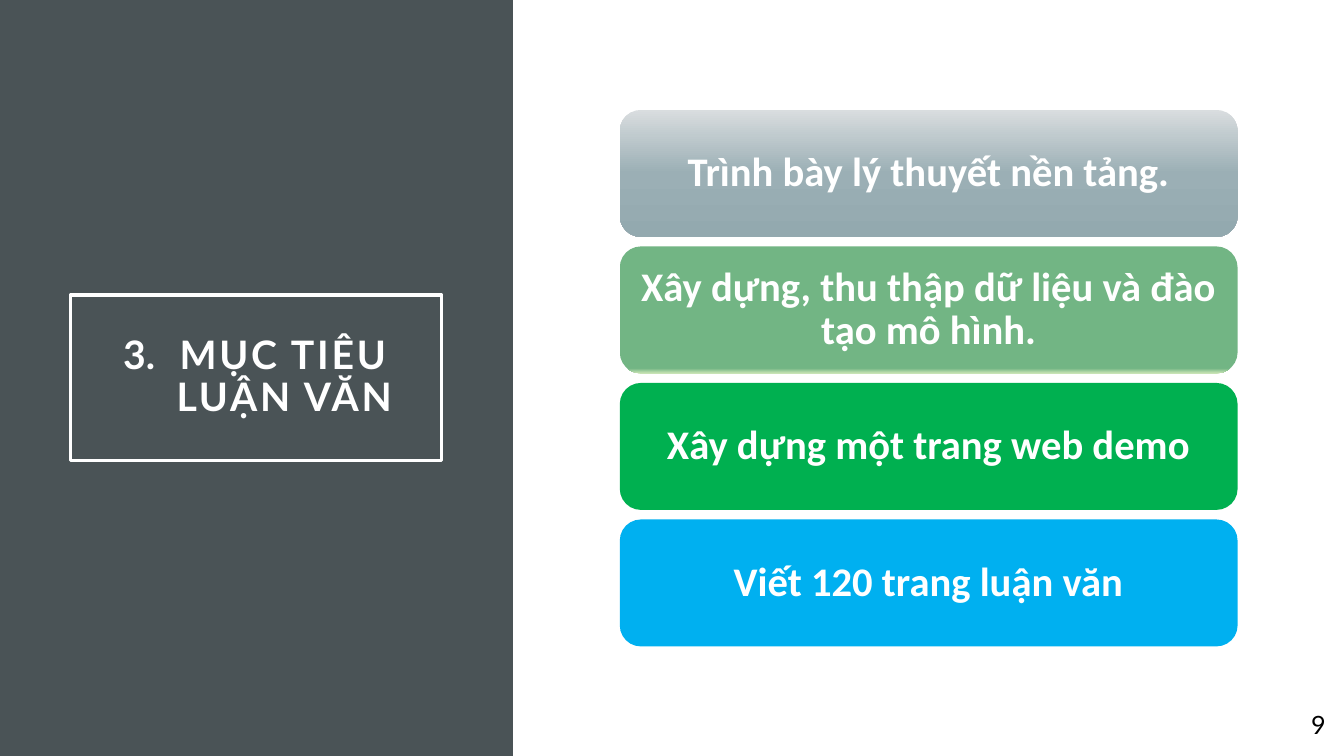
from lxml import etree
from pptx import Presentation
from pptx.dml.color import RGBColor
from pptx.enum import shapes, text
from pptx.oxml import ns
from pptx.util import Cm, Pt

SLATE = RGBColor(0x4A, 0x53, 0x56)
WHITE = RGBColor(0xFF, 0xFF, 0xFF)
BLACK = RGBColor(0x00, 0x00, 0x00)
MIST = RGBColor(0xD9, 0xDD, 0xDF)
STEEL = RGBColor(0x9B, 0xAF, 0xB5)
DEEP_STEEL = RGBColor(0x93, 0xA9, 0xAF)
SAGE = RGBColor(0x72, 0xB5, 0x84)
PALE_GREEN = RGBColor(0xC9, 0xE4, 0xB4)
GREEN = RGBColor(0x00, 0xB0, 0x50)
BLUE = RGBColor(0x00, 0xB0, 0xF0)

GOALS = [
    ("Trình bày lý thuyết nền tảng.", [(0, MIST), (50, STEEL), (100, DEEP_STEEL)]),
    ("Xây dựng, thu thập dữ liệu và đào tạo mô hình.", [(96, SAGE), (100, PALE_GREEN)]),
    ("Xây dựng một trang web demo", [(0, GREEN)]),
    ("Viết 120 trang luận văn", [(0, BLUE)]),
]
GOAL_TOP, GOAL_PITCH = 2.77, 3.44


def add_child(parent, tag, **attributes):
    """Append a DrawingML element and return it."""
    child = etree.SubElement(parent, ns.qn(tag))
    for name, value in attributes.items():
        child.set(name, str(value))
    return child


def paint(fill, stops):
    """Fill with one colour, or with a gradient running from top to bottom."""
    if len(stops) == 1:
        fill.solid()
        fill.fore_color.rgb = stops[0][1]
        return
    fill.gradient()
    fill.gradient_angle = 270
    stop_list = fill.gradient_stops[0]._gs.getparent()
    for stop in list(stop_list):
        stop_list.remove(stop)
    for percent, color in stops:
        stop = add_child(stop_list, "a:gs", pos=percent * 1000)
        add_child(stop, "a:srgbClr", val=color)


def add_block(slide, kind, left, top, width, height, stops=None, outline=None):
    """Add a preset shape with an optional fill and outline."""
    block = slide.shapes.add_shape(kind, Cm(left), Cm(top), Cm(width), Cm(height))
    block.shadow.inherit = False
    if stops:
        paint(block.fill, stops)
    else:
        block.fill.background()
    if outline:
        block.line.color.rgb = outline
        block.line.width = Pt(2.5)
    else:
        block.line.fill.background()
    return block


def write(shape, content, *, font, size, color=WHITE, bold=False, inset=0.3,
          line_spacing=0.9, tracking=0):
    """Write one centred paragraph in a shape and return it."""
    frame = shape.text_frame
    frame.word_wrap = True
    frame.vertical_anchor = text.MSO_ANCHOR.MIDDLE
    frame.margin_left = frame.margin_right = Cm(inset)
    frame.margin_top = frame.margin_bottom = Cm(inset)
    paragraph = frame.paragraphs[0]
    paragraph.alignment = text.PP_ALIGN.CENTER
    paragraph.line_spacing = line_spacing
    run = paragraph.add_run()
    run.text = content
    run.font.name = font
    run.font.size = Pt(size)
    run.font.bold = bold
    run.font.color.rgb = color
    if tracking:
        run.font._element.set("spc", str(tracking * 100))
    return paragraph


def number(paragraph, start, indent):
    """Give a paragraph an automatic number with a hanging indent."""
    properties = paragraph._p.get_or_add_pPr()
    properties.set("marL", str(Cm(indent)))
    properties.set("indent", str(-Cm(indent)))
    add_child(add_child(properties, "a:buClr"), "a:srgbClr", val=WHITE)
    add_child(properties, "a:buFont", typeface="+mj-lt")
    add_child(properties, "a:buAutoNum", type="arabicPeriod", startAt=start)


def main():
    """Build the slide on the goals of the thesis."""
    deck = Presentation()
    deck.slide_width, deck.slide_height = Cm(33.87), Cm(19.05)
    slide = deck.slides.add_slide(deck.slide_layouts[6])
    preset = shapes.MSO_SHAPE

    add_block(slide, preset.RECTANGLE, 0, 0, 12.93, 19.05, [(0, SLATE)])
    title = add_block(slide, preset.RECTANGLE, 1.78, 7.44, 9.35, 4.17, outline=WHITE)
    heading = write(title, "MỤC TIÊU LUẬN VĂN", font="Lato", size=28, bold=True,
                    inset=0.51, tracking=2)
    number(heading, start=3, indent=1.42)

    for index, (goal, stops) in enumerate(GOALS):
        card = add_block(slide, preset.ROUNDED_RECTANGLE, 15.62,
                         GOAL_TOP + index * GOAL_PITCH, 15.57, 3.2, stops)
        write(card, goal, font="Calibri", size=29, bold=True)

    page = slide.shapes.add_textbox(Cm(32.59), Cm(17.73), Cm(1.27), Cm(1.03))
    write(page, "9", font="Lato", size=18, color=BLACK, inset=0.13, line_spacing=1)

    deck.save("out.pptx")


if __name__ == "__main__":
    main()
